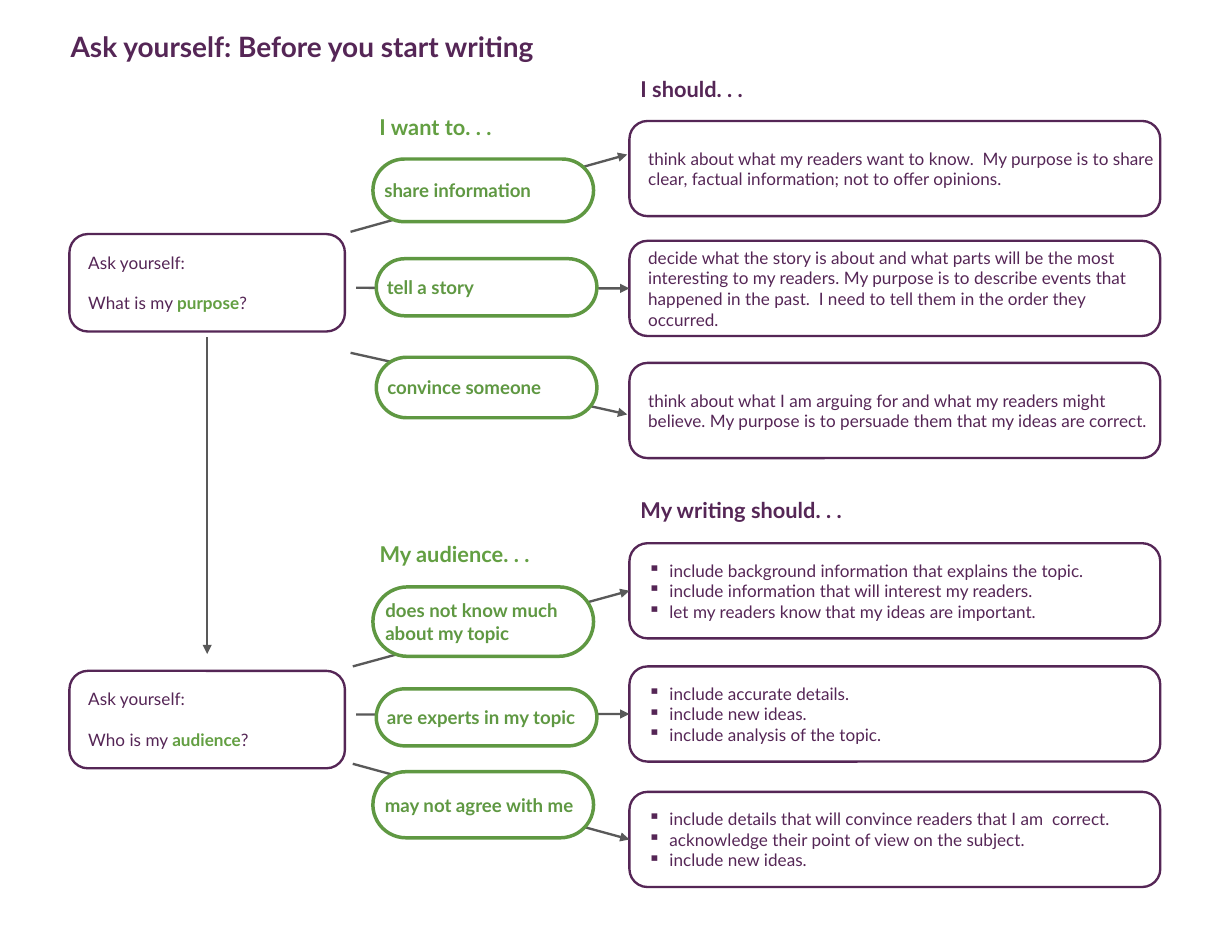
from lxml.etree import SubElement
from pptx import Presentation
from pptx.dml.color import RGBColor
from pptx.enum.shapes import MSO_CONNECTOR, MSO_SHAPE
from pptx.enum.text import MSO_ANCHOR, MSO_AUTO_SIZE, PP_ALIGN
from pptx.oxml.ns import qn
from pptx.util import Inches, Pt

PURPLE = RGBColor(0x55, 0x26, 0x56)
GREEN = RGBColor(0x5F, 0x98, 0x42)
LIGHT_GREEN = RGBColor(0x63, 0x9F, 0x42)
GRAY = RGBColor(0x59, 0x59, 0x59)
WHITE = RGBColor(0xFF, 0xFF, 0xFF)
FONT = "Lato"
ANSWER_X, ANSWER_W, ANSWER_H = 5.62, 4.74, 0.85

PURPOSE = {
    "question": ("What is my ", "purpose", "?"),
    "top": 2.09,
    "headings": [("I want to. . .", 3.29, 0.97, 1.46, LIGHT_GREEN),
                 ("I should. . .", ANSWER_X, 0.63, 3.05, PURPLE)],
    "answers": [
        (1.08, ["think about what my readers want to know.  My purpose is to share "
                "clear, factual information; not to offer opinions."]),
        (2.15, ["decide what the story is about and what parts will be the most "
                "interesting to my readers. My purpose is to describe events that "
                "happened in the past.  I need to tell them in the order they occurred."]),
        (3.24, ["think about what I am arguing for and what my readers might believe. "
                "My purpose is to persuade them that my ideas are correct."]),
    ],
    "arrows": [(3.13, 2.07, 5.6, 1.38, False),
               (3.18, 2.57, ANSWER_X, 2.57, True),
               (3.13, 3.15, 5.6, 3.7, False)],
    "choices": [("share information", 3.33, 1.42, 0.56),
                ("tell a story", 3.36, 2.31, 0.51),
                ("convince someone", 3.36, 3.19, 0.54)],
}
AUDIENCE = {
    "question": ("Who is my ", "audience", "?"),
    "top": 5.99,
    "headings": [("My audience. . .", 3.29, 4.78, 1.75, LIGHT_GREEN),
                 ("My writing should. . .", ANSWER_X, 4.39, 3.05, PURPLE)],
    "answers": [
        (4.85, ["include background information that explains the topic.",
                "include information that will interest my readers.",
                "let my readers know that my ideas are important."]),
        (5.95, ["include accurate details.",
                "include new ideas.",
                "include analysis of the topic."]),
        (7.07, ["include details that will convince readers that I am  correct.",
                "acknowledge their point of view on the subject.",
                "include new ideas."]),
    ],
    "arrows": [(3.15, 5.95, ANSWER_X, 5.29, True),
               (3.18, 6.38, ANSWER_X, 6.38, True),
               (3.15, 6.82, ANSWER_X, 7.47, True)],
    "choices": [("does not know much about my topic", 3.33, 5.24, 0.62),
                ("are experts in my topic", 3.36, 6.15, 0.51),
                ("may not agree with me", 3.33, 6.89, 0.59)],
}


def style(p, size, color, bold=False):
    """Left-align a paragraph and format its runs."""
    p.alignment = PP_ALIGN.LEFT
    for r in p.runs:
        r.font.name = FONT
        r.font.size = Pt(size)
        r.font.bold = bold
        r.font.color.rgb = color


def set_margins(tf, left, right=0):
    """Set the insets of a text frame."""
    tf.margin_left, tf.margin_right = Inches(left), Inches(right)
    tf.margin_top = tf.margin_bottom = Inches(0.12)


def add_bullet(p):
    """Give a paragraph a square bullet with a hanging indent."""
    pPr = p._p.get_or_add_pPr()
    pPr.set("marL", str(Inches(0.19)))
    pPr.set("indent", str(-Inches(0.19)))
    SubElement(pPr, qn("a:buChar")).set("char", "▪")


def add_title(s, text):
    """Place and format the title placeholder."""
    sp = s.shapes.title
    sp.left, sp.top, sp.width, sp.height = map(Inches, (0.62, 0.14, 6.71, 0.59))
    tf = sp.text_frame
    tf.text = text
    tf.auto_size = MSO_AUTO_SIZE.NONE
    tf.vertical_anchor = MSO_ANCHOR.TOP
    set_margins(tf, 0.01)
    style(tf.paragraphs[0], 18, PURPLE, True)


def add_heading(s, text, x, y, w, color):
    """Add a column heading."""
    tf = s.shapes.add_textbox(*map(Inches, (x, y, w, 0.34))).text_frame
    tf.word_wrap = True
    tf.text = text
    style(tf.paragraphs[0], 14, color, True)


def add_box(s, x, y, w, h, color, line_width, radius, inset):
    """Add an outlined rounded box."""
    sp = s.shapes.add_shape(MSO_SHAPE.ROUNDED_RECTANGLE, *map(Inches, (x, y, w, h)))
    sp.adjustments[0] = radius
    sp.shadow.inherit = False
    sp.fill.solid()
    sp.fill.fore_color.rgb = WHITE
    sp.line.color.rgb = color
    sp.line.width = Pt(line_width)
    tf = sp.text_frame
    tf.word_wrap = True
    tf.vertical_anchor = MSO_ANCHOR.MIDDLE
    set_margins(tf, inset)
    return sp


def add_question(s, y, parts):
    """Add a question box with its key word highlighted."""
    tf = add_box(s, 0.62, y, 2.46, 0.87, PURPLE, 1.5, 0.19, 0.12).text_frame
    tf.text = "Ask yourself:"
    p = tf.add_paragraph()
    p.space_before = Pt(13)
    for part in parts:
        p.add_run().text = part
    for paragraph in tf.paragraphs:
        style(paragraph, 11, PURPLE)
    p.runs[1].font.bold = True
    p.runs[1].font.color.rgb = LIGHT_GREEN


def add_answer(s, y, lines):
    """Add an answer box, bulleted when it holds several lines."""
    sp = add_box(s, ANSWER_X, y, ANSWER_W, ANSWER_H, PURPLE, 1.5, 0.19, 0.12)
    sp.text_frame.text = "\n".join(lines)
    for p in sp.text_frame.paragraphs:
        style(p, 11, PURPLE)
        if len(lines) > 1:
            add_bullet(p)
    return sp


def add_choice(s, text, x, y, h):
    """Add a green pill with a choice."""
    tf = add_box(s, x, y, 1.97, h, GREEN, 2.25, 0.5, 0.02).text_frame
    tf.text = text
    style(tf.paragraphs[0], 12, GREEN, True)


def add_arrow(s, x1, y1, x2, y2, target=None):
    """Add an arrow, joined to the left side of a target if given."""
    c = s.shapes.add_connector(MSO_CONNECTOR.STRAIGHT, *map(Inches, (x1, y1, x2, y2)))
    if target is not None:
        c.end_connect(target, 1)
    c.line.color.rgb = GRAY
    c.line.width = Pt(1.5)
    SubElement(c.line._get_or_add_ln(), qn("a:tailEnd")).set("type", "triangle")
    SubElement(c._element.spPr, qn("a:effectLst"))


def add_stage(s, stage):
    """Add a question with its choices, arrows and answers."""
    add_question(s, stage["top"], stage["question"])
    answers = [add_answer(s, *answer) for answer in stage["answers"]]
    for (*ends, joined), answer in zip(stage["arrows"], answers):
        add_arrow(s, *ends, answer if joined else None)
    for choice in stage["choices"]:
        add_choice(s, *choice)
    for heading in stage["headings"]:
        add_heading(s, *heading)


def main():
    """Build the slide and save it."""
    prs = Presentation()
    prs.slide_width, prs.slide_height = Inches(11), Inches(8.5)
    s = prs.slides.add_slide(prs.slide_layouts[5])
    add_title(s, "Ask yourself: Before you start writing")
    add_stage(s, PURPOSE)
    add_stage(s, AUDIENCE)
    add_arrow(s, 1.85, 3.01, 1.85, 5.84)
    prs.save("out.pptx")


if __name__ == "__main__":
    main()
